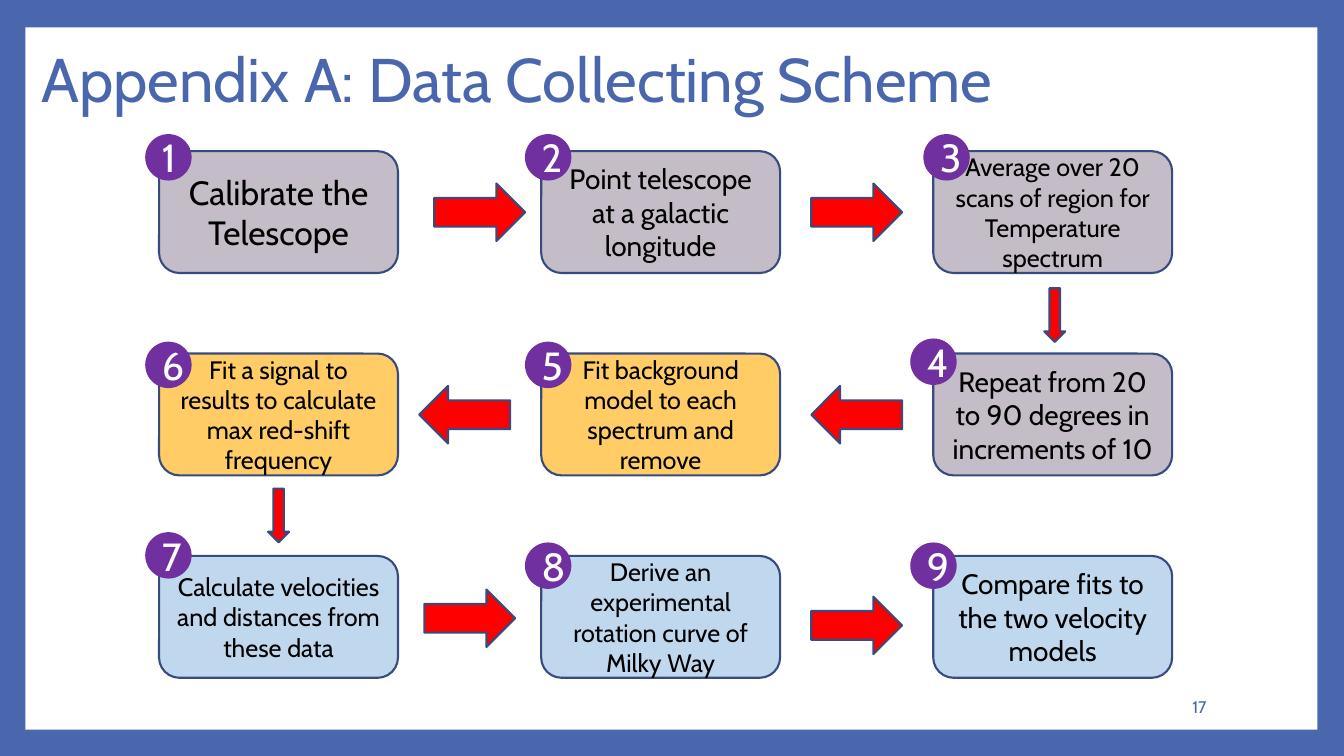
from pptx import Presentation
from pptx.dml.color import RGBColor
from pptx.enum.shapes import MSO_SHAPE as SHAPE
from pptx.enum.text import MSO_ANCHOR as ANCHOR, PP_ALIGN as ALIGN
from pptx.util import Cm, Pt

FONT = "Cabin"
BLUE, OUTLINE = "4A66AC", "374B7F"
WHITE, BLACK, RED, PURPLE = "FFFFFF", "000000", "FF0000", "7030A0"
ROW_FILLS = {"collect": "C4BCC6", "fit": "FFCC66", "analyse": "C0D8ED"}

COLUMNS = (4.01, 13.64, 23.52)
FIRST_ROW, ROW_PITCH = 3.81, 5.1
BOX_W, BOX_H = 6.02, 3.07
BADGE = 1.17
BIG_ARROW, SMALL_ARROW = (2.29, 1.45), (1.35, 0.53)

# text, size, phase, badge left and top
STEPS = [
    ("Calibrate the Telescope", 24, "collect", 3.66, 3.38),
    ("Point telescope at a galactic longitude", 20, "collect", 13.23, 3.38),
    ("Average over 20 scans of region for Temperature spectrum", 18, "collect", 23.27, 3.38),
    ("Repeat from 20 to 90 degrees in increments of 10", 20, "collect", 22.94, 8.53),
    ("Fit background model to each spectrum and remove", 18, "fit", 13.23, 8.61),
    ("Fit a signal to results to calculate max red-shift frequency", 18, "fit", 3.66, 8.61),
    ("Calculate velocities and distances from these data", 18, "analyse", 3.66, 13.41),
    ("Derive an experimental rotation curve of Milky Way", 18, "analyse", 13.23, 13.67),
    ("Compare fits to the two velocity models", 20, "analyse", 22.94, 13.67),
]

# centre x, centre y, size, rotation
ARROWS = [
    (12.09, 5.35, BIG_ARROW, 0),
    (21.59, 5.35, BIG_ARROW, 0),
    (26.58, 7.94, SMALL_ARROW, 90),
    (21.59, 10.45, BIG_ARROW, 180),
    (11.71, 10.45, BIG_ARROW, 180),
    (7.02, 12.99, SMALL_ARROW, 90),
    (11.84, 15.58, BIG_ARROW, 0),
    (21.59, 15.76, BIG_ARROW, 0),
]


def rgb(value):
    return RGBColor.from_string(value)


def write(sp, text, size, color, align):
    tf = sp.text_frame
    tf.word_wrap = True
    tf.vertical_anchor = ANCHOR.MIDDLE
    p = tf.paragraphs[0]
    p.text = text
    p.alignment = align
    p.font.name = FONT
    p.font.size = Pt(size)
    p.font.color.rgb = rgb(color)
    return p


def add_shape(s, kind, x, y, w, h, fill, line=None):
    sp = s.shapes.add_shape(kind, Cm(x), Cm(y), Cm(w), Cm(h))
    sp.shadow.inherit = False
    sp.fill.solid()
    sp.fill.fore_color.rgb = rgb(fill)
    if line:
        sp.line.color.rgb = rgb(line)
        sp.line.width = Pt(1.5)
    else:
        sp.line.fill.background()
    return sp


def add_text(s, x, y, w, h, text, size, align):
    box = s.shapes.add_textbox(Cm(x), Cm(y), Cm(w), Cm(h))
    return write(box, text, size, BLUE, align)


def add_step(s, index, text, size, phase):
    """Place a step box on the grid, whose middle row runs right to left."""
    row, col = divmod(index, len(COLUMNS))
    x = COLUMNS[::-1][col] if row % 2 else COLUMNS[col]
    sp = add_shape(s, SHAPE.ROUNDED_RECTANGLE, x, FIRST_ROW + row * ROW_PITCH,
                   BOX_W, BOX_H, ROW_FILLS[phase], OUTLINE)
    write(sp, text, size, BLACK, ALIGN.CENTER)


def add_arrow(s, cx, cy, size, rotation):
    w, h = size
    sp = add_shape(s, SHAPE.RIGHT_ARROW, cx - w / 2, cy - h / 2, w, h, RED, OUTLINE)
    sp.rotation = rotation


def add_badge(s, number, x, y):
    sp = add_shape(s, SHAPE.OVAL, x, y, BADGE, BADGE, PURPLE)
    write(sp, str(number), 28, WHITE, ALIGN.CENTER)


def main():
    prs = Presentation()
    prs.slide_width, prs.slide_height = Cm(33.87), Cm(19.05)
    s = prs.slides.add_slide(prs.slide_layouts[6])
    s.background.fill.solid()
    s.background.fill.fore_color.rgb = rgb(BLUE)

    add_shape(s, SHAPE.RECTANGLE, 0.64, 0.69, 32.56, 17.7, WHITE)
    title = add_text(s, 0.79, 0.2, 27.43, 3.76,
                     "Appendix A: Data Collecting Scheme", 44, ALIGN.LEFT)
    title.line_spacing = 0.9

    for index, (text, size, phase, _, _) in enumerate(STEPS):
        add_step(s, index, text, size, phase)
    for arrow in ARROWS:
        add_arrow(s, *arrow)
    for number, (*_, x, y) in enumerate(STEPS, start=1):
        add_badge(s, number, x, y)

    add_text(s, 25.91, 17.3, 4.75, 1.02, "17", 12, ALIGN.RIGHT)
    prs.save("out.pptx")


if __name__ == "__main__":
    main()
